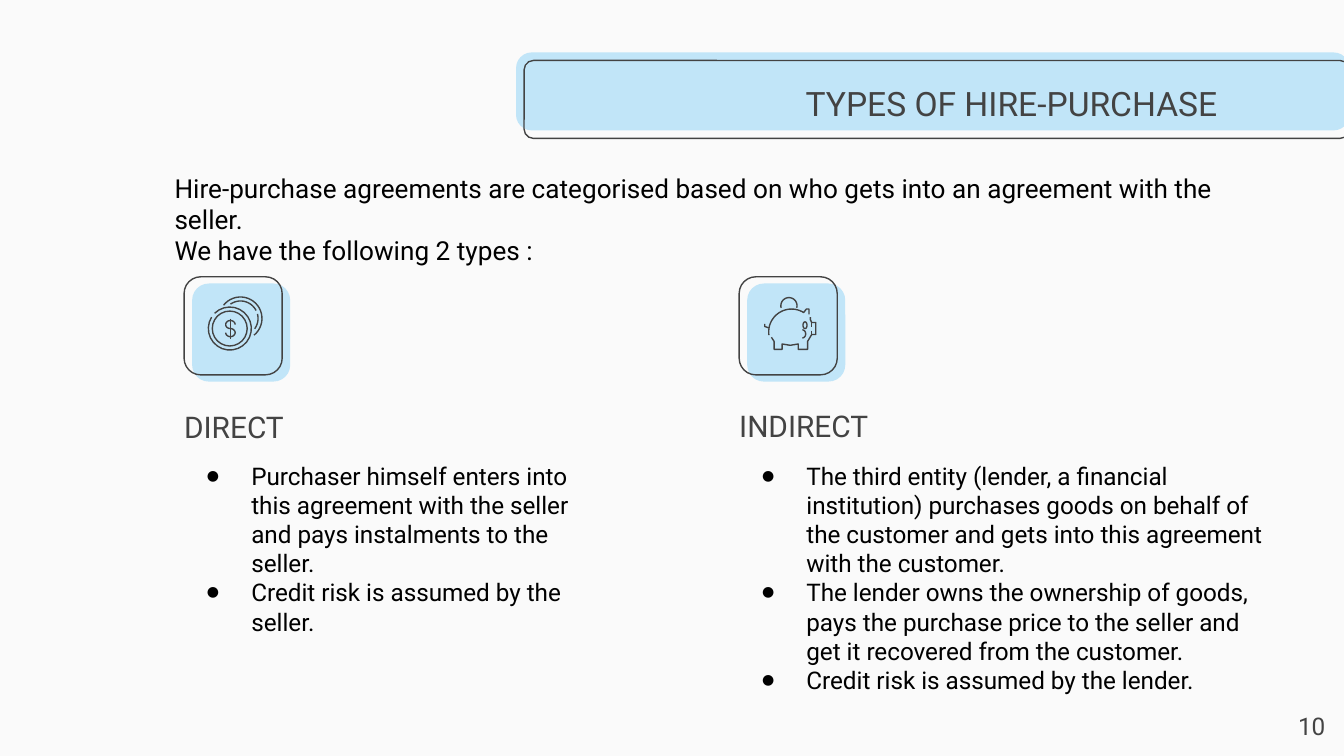
from dataclasses import dataclass
from math import cos, radians, sin

from lxml.etree import SubElement
from pptx import Presentation
from pptx.dml.color import RGBColor
from pptx.enum.shapes import MSO_SHAPE as Shape
from pptx.enum.text import MSO_ANCHOR as Anchor, MSO_AUTO_SIZE as AutoSize, PP_ALIGN as Align
from pptx.oxml.ns import qn
from pptx.util import Inches, Pt


@dataclass(frozen=True)
class Theme:
    """Colours, font and type sizes of the slide."""
    paper: str = "FAFAFA"
    accent: str = "C1E5F8"
    ink: str = "434343"
    text: str = "000000"
    font: str = "Roboto"
    title: float = 18
    heading: float = 16
    intro: float = 14
    body: float = 13
    line: float = 0.75
    bullet_percent: int = 58


def rgb(code):
    """Turn a hex code into a colour."""
    return RGBColor.from_string(code)


def arc(cx, cy, rx, ry, start, end, steps=24):
    """Return points along an elliptical arc, angles running clockwise."""
    angles = [radians(start + (end - start) * i / steps) for i in range(steps + 1)]
    return [(cx + rx * cos(a), cy + ry * sin(a)) for a in angles]


def add_bullet(paragraph, theme):
    """Give a paragraph a round bullet and a hanging indent."""
    props = paragraph._p.get_or_add_pPr()
    props.set("marL", str(Inches(0.5)))
    props.set("indent", str(Inches(-0.33)))
    SubElement(SubElement(props, qn("a:buClr")), qn("a:srgbClr")).set("val", theme.text)
    SubElement(props, qn("a:buSzPct")).set("val", str(theme.bullet_percent * 1000))
    SubElement(props, qn("a:buFont")).set("typeface", theme.font)
    SubElement(props, qn("a:buChar")).set("char", "●")


def write(frame, lines, theme, size, color, align=Align.LEFT, anchor=Anchor.TOP, bullets=False):
    """Fill a text frame with formatted paragraphs."""
    frame.word_wrap = True
    frame.auto_size = AutoSize.NONE
    frame.vertical_anchor = anchor
    frame.margin_left = frame.margin_right = Inches(0.1)
    frame.margin_top = frame.margin_bottom = Inches(0.1)
    for i, line in enumerate(lines):
        paragraph = frame.add_paragraph() if i else frame.paragraphs[0]
        paragraph.alignment = align
        paragraph.line_spacing = 1.0
        paragraph.space_before = paragraph.space_after = Pt(0)
        if bullets:
            add_bullet(paragraph, theme)
        run = paragraph.add_run()
        run.text = line
        run.font.name, run.font.size, run.font.bold = theme.font, Pt(size), False
        run.font.color.rgb = rgb(color)


class SlideWriter:
    """Holds the theme and the current slide, and adds elements to it."""

    def __init__(self, slide, theme):
        """Keep the slide and paint its background."""
        self.slide, self.theme = slide, theme
        slide.background.fill.solid()
        slide.background.fill.fore_color.rgb = rgb(theme.paper)

    def outline(self, shape):
        """Leave a shape with only a thin dark line."""
        shape.shadow.inherit = False
        shape.fill.background()
        shape.line.color.rgb = rgb(self.theme.ink)
        shape.line.width = Pt(self.theme.line)

    def panel(self, box, roundness, filled):
        """Add a rounded rectangle, filled or outlined."""
        panel = self.slide.shapes.add_shape(Shape.ROUNDED_RECTANGLE, *map(Inches, box))
        panel.adjustments[0] = roundness
        self.outline(panel)
        if filled:
            panel.fill.solid()
            panel.fill.fore_color.rgb = rgb(self.theme.accent)
            panel.line.fill.background()

    def icon(self, strokes):
        """Draw a line icon as one group of open strokes."""
        group = self.slide.shapes.add_group_shape()
        for stroke in strokes:
            start, *rest = [(Inches(x), Inches(y)) for x, y in stroke]
            builder = group.shapes.build_freeform(*start)
            builder.add_line_segments(rest, close=False)
            self.outline(builder.convert_to_shape())

    def placeholder(self, idx, box, lines, **style):
        """Move a placeholder to the front, place it and fill it."""
        holder = next(p for p in self.slide.placeholders if p.placeholder_format.idx == idx)
        holder.element.getparent().append(holder.element)
        holder.left, holder.top, holder.width, holder.height = map(Inches, box)
        write(holder.text_frame, lines, self.theme, **style)

    def text(self, box, lines, **style):
        """Add a text box."""
        note = self.slide.shapes.add_textbox(*map(Inches, box))
        write(note.text_frame, lines, self.theme, **style)


COINS = [
    arc(1.71, 2.445, 0.16, 0.16, -135, 212),
    arc(1.71, 2.445, 0.13, 0.13, 0, 360),
    arc(1.79, 2.37, 0.16, 0.16, -142, 51),
    arc(1.79, 2.37, 0.13, 0.13, -125, -27),
    arc(1.79, 2.37, 0.13, 0.13, -15, 36),
    arc(1.715, 2.415, 0.035, 0.03, 0, -270) + arc(1.715, 2.475, 0.035, 0.03, -90, 180),
    [(1.715, 2.37), (1.715, 2.52)],
]
PIGGY_BANK = [
    [(6.03, 2.36), (6.03, 2.38), (6.04, 2.4), (6.07, 2.4), (6.07, 2.49), (6.04, 2.49),
     (6.01, 2.54), (6.01, 2.6), (5.94, 2.6), (5.94, 2.56), (5.88, 2.57), (5.82, 2.56),
     (5.82, 2.6), (5.76, 2.6), (5.76, 2.54), (5.74, 2.51)],
    arc(5.89, 2.47, 0.17, 0.17, 172, 302) + [(6, 2.3), (6.02, 2.3), (6.02, 2.34)],
    [(5.69, 2.41), (5.69, 2.43), (5.72, 2.44)],
    [(6.04, 2.4), (6.04, 2.43)],
    [(6.04, 2.46), (6.04, 2.49)],
    arc(5.99, 2.42, 0.015, 0.025, 0, 360),
    arc(5.87, 2.275, 0.06, 0.06, 165, 375),
    arc(5.97, 2.485, 0.025, 0.03, -90, 90),
]
# heading, tile left, heading top, list width, icon, points
TYPES = [
    ("DIRECT", 1.37, 2.99, 3.22, COINS, [
        "Purchaser himself enters into this agreement with the seller and pays instalments "
        "to the seller.",
        "Credit risk is assumed by the seller."]),
    ("INDIRECT", 5.5, 2.98, 4.16, PIGGY_BANK, [
        "The third entity (lender, a financial institution) purchases goods on behalf of the "
        "customer and gets into this agreement with the customer.",
        "The lender owns the ownership of goods, pays the purchase price to the seller and "
        "get it recovered from the customer.",
        "Credit risk is assumed by the lender."]),
]


def main():
    """Build and save the slide."""
    theme = Theme()
    deck = Presentation()
    deck.slide_width = Inches(10)
    deck.slide_height = deck.slide_width * 9 // 16
    comparison = deck.slide_layouts[4]
    page = SlideWriter(deck.slides.add_slide(comparison), theme)

    page.panel((3.84, 0.39, 6.2, 0.58), 0.2, filled=True)
    page.panel((3.9, 0.45, 6.14, 0.58), 0.12, filled=False)
    page.placeholder(0, (5.67, 0.5, 3.49, 0.53), ["TYPES OF HIRE-PURCHASE"],
                     size=theme.title, color=theme.ink, align=Align.RIGHT, anchor=Anchor.MIDDLE)
    page.text((1.2, 1.18, 8.25, 0.68),
              ["Hire-purchase agreements are categorised based on who gets into an agreement "
               "with the seller.", "We have the following 2 types :"],
              size=theme.intro, color=theme.text)

    for i, (heading, left, top, width, strokes, points) in enumerate(TYPES):
        page.panel((left + 0.06, 2.11, 0.73, 0.73), 0.17, filled=True)
        page.panel((left, 2.06, 0.73, 0.73), 0.17, filled=False)
        page.icon(strokes)
        page.placeholder(2 * i + 1, (left - 0.1, top, 2.78, 0.42), [heading],
                         size=theme.heading, color=theme.ink, anchor=Anchor.BOTTOM)
        page.placeholder(2 * i + 2, (left - 0.1, 3.33, width, 0.91), points,
                         size=theme.body, color=theme.text, bullets=True)

    page.text((9.36, 5.19, 0.6, 0.43), ["10"],
              size=theme.body, color=theme.ink, align=Align.RIGHT)
    deck.save("out.pptx")


main()
